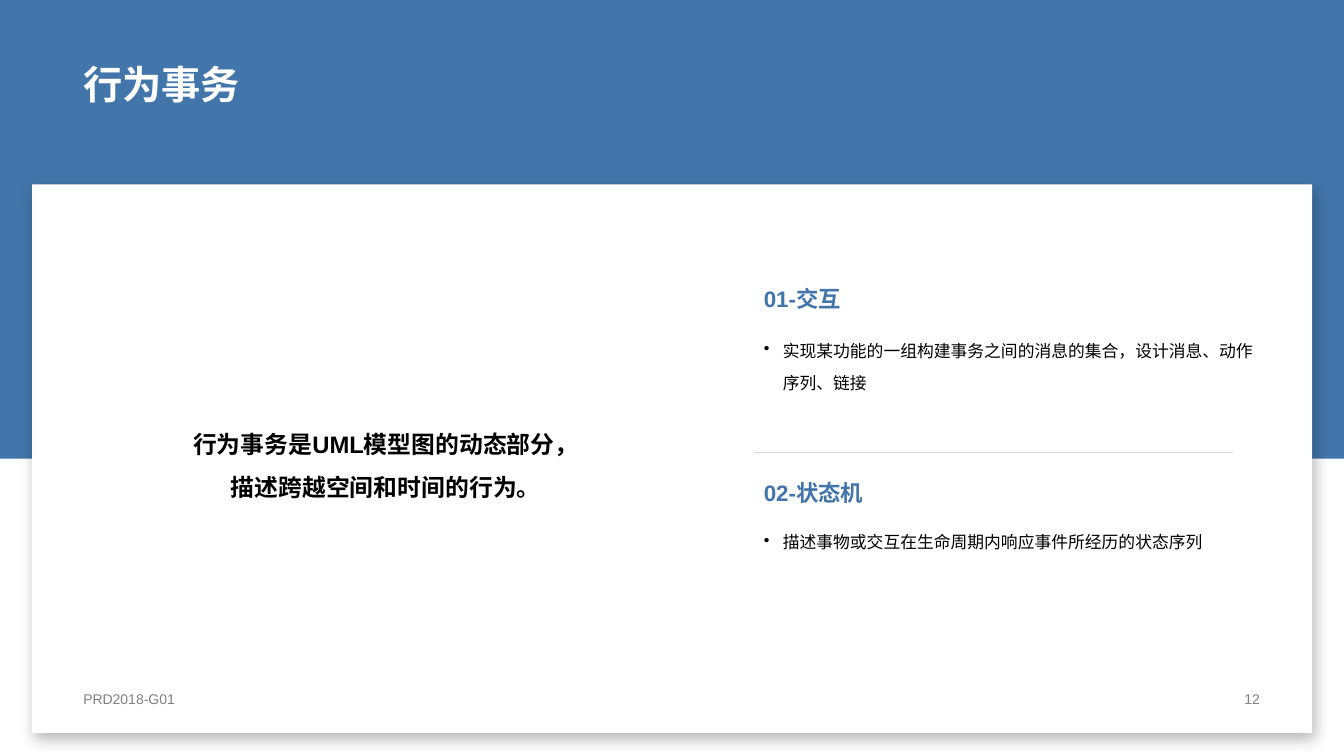
from lxml import etree
from pptx import Presentation
from pptx.dml.color import RGBColor
from pptx.enum.shapes import MSO_CONNECTOR, MSO_SHAPE
from pptx.enum.text import MSO_ANCHOR, PP_ALIGN
from pptx.oxml.ns import qn
from pptx.util import Cm, Pt

RECTANGLE = MSO_SHAPE.RECTANGLE
STRAIGHT = MSO_CONNECTOR.STRAIGHT
TOP, MIDDLE, BOTTOM = MSO_ANCHOR.TOP, MSO_ANCHOR.MIDDLE, MSO_ANCHOR.BOTTOM
LEFT, CENTER, RIGHT = PP_ALIGN.LEFT, PP_ALIGN.CENTER, PP_ALIGN.RIGHT

COLORS = {
    "blue": "4276AA",
    "white": "FFFFFF",
    "black": "000000",
    "rule": "D9D9D9",
    "gray": "808080",
}
FONT = "Arial"
PAGE_WIDTH, PAGE_HEIGHT = 33.87, 19.05
MARGIN = 1.85
CONTENT_WIDTH = 30.15


def color(name):
    """Return the named colour."""
    return RGBColor.from_string(COLORS[name])


def add_bullet(para, indent):
    """Give a paragraph a round bullet with a hanging indent."""
    properties = para._p.get_or_add_pPr()
    properties.set("marL", str(Cm(indent)))
    properties.set("indent", str(-Cm(indent)))
    etree.SubElement(properties, qn("a:buChar"), char="•")


def add_text(page, text, box, size, ink="black", bold=False, align=LEFT,
             anchor=TOP, spacing=1.0, bullet=False):
    """Place text, one paragraph per line, in a box of (left, top, width, height)."""
    frame = page.shapes.add_textbox(*map(Cm, box)).text_frame
    frame.word_wrap = True
    frame.vertical_anchor = anchor
    for index, line in enumerate(text.split("\n")):
        para = frame.add_paragraph() if index else frame.paragraphs[0]
        para.alignment = align
        para.line_spacing = spacing
        if bullet:
            add_bullet(para, 0.48)
        span = para.add_run()
        span.text = line
        span.font.name = FONT
        span.font.size = Pt(size)
        span.font.bold = bold
        span.font.color.rgb = color(ink)


def add_panel(page, box, fill):
    """Draw a borderless filled rectangle."""
    panel = page.shapes.add_shape(RECTANGLE, *map(Cm, box))
    panel.shadow.inherit = False
    panel.fill.solid()
    panel.fill.fore_color.rgb = color(fill)
    panel.line.fill.background()
    return panel


def add_shadow(panel, blur, distance, angle, opacity):
    """Give a panel a soft outer shadow."""
    effects = panel._element.spPr.find(qn("a:effectLst"))
    shadow = etree.SubElement(
        effects, qn("a:outerShdw"), blurRad=str(Pt(blur)), dist=str(Pt(distance)),
        dir=str(angle * 60000), algn="t", rotWithShape="0")
    ink = etree.SubElement(shadow, qn("a:srgbClr"), val=COLORS["black"])
    etree.SubElement(ink, qn("a:alpha"), val=str(opacity * 1000))


def add_rule(page, left, top, width):
    """Draw a thin horizontal divider."""
    rule = page.shapes.add_connector(
        STRAIGHT, Cm(left), Cm(top), Cm(left + width), Cm(top))
    rule.line.color.rgb = color("rule")
    rule.line.width = Pt(0.25)
    etree.SubElement(rule._element.spPr, qn("a:effectLst"))


def add_backdrop(page):
    """Draw the blue band and the white card lying over it."""
    add_panel(page, (0, 0, PAGE_WIDTH, 11.56), "blue")
    card = add_panel(page, (0.81, 4.65, 32.26, 13.82), "white")
    add_shadow(card, blur=11, distance=5, angle=65, opacity=28)


def add_topic(page, left, top, width, heading, detail, spacing):
    """Place a blue heading with its bulleted detail below."""
    add_text(page, detail, (left, top + 1.09, width, 3.1), 12,
             spacing=spacing, bullet=True)
    add_text(page, heading, (left, top, width, 0.94), 16, ink="blue", bold=True)


def add_topics(page, left, top, width):
    """Stack the two topics with a divider between them."""
    add_topic(page, left, top, width, "01-交互",
              "实现某功能的一组构建事务之间的消息的集合，设计消息、动作序列、链接", 1.6)
    add_topic(page, left, top + 4.88, width, "02-状态机",
              "描述事物或交互在生命周期内响应事件所经历的状态序列", 1.5)
    add_rule(page, left, top + 4.34, 12.07)


def add_footer(page, left, top, width):
    """Place the document code on the left and the page number on the right."""
    height, number_width = 0.58, 8.08
    add_text(page, "PRD2018-G01", (left, top, 11.5, height), 10,
             ink="gray", anchor=MIDDLE)
    add_text(page, "12", (left + width - number_width, top, number_width, height),
             10, ink="gray", align=RIGHT, anchor=MIDDLE)


def main():
    """Build the slide and save the deck."""
    deck = Presentation()
    deck.slide_width, deck.slide_height = Cm(PAGE_WIDTH), Cm(PAGE_HEIGHT)
    page = deck.slides.add_slide(deck.slide_layouts[6])
    add_backdrop(page)
    add_topics(page, 19, 7.06, 12.88)
    add_text(page, "行为事务是UML模型图的动态部分，\n描述跨越空间和时间的行为。",
             (MARGIN, 8.89, 15.75, 5.31), 17, bold=True, align=CENTER,
             anchor=MIDDLE, spacing=1.5)
    add_text(page, "行为事务", (MARGIN, 0, CONTENT_WIDTH, 2.84), 28, ink="white",
             bold=True, anchor=BOTTOM, spacing=0.9)
    add_footer(page, MARGIN, 17.32, CONTENT_WIDTH)
    deck.save("out.pptx")


if __name__ == "__main__":
    main()
